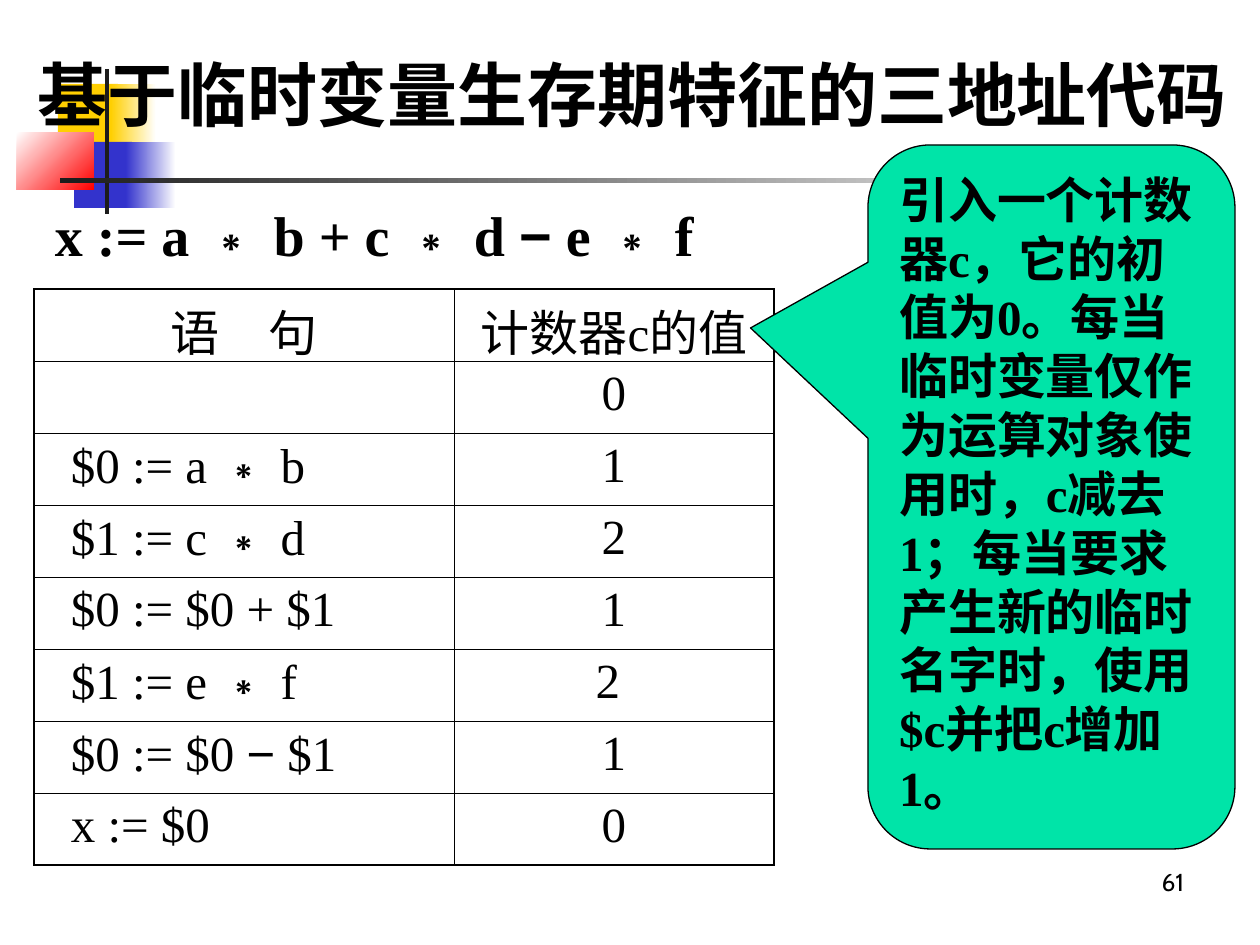
from pptx import Presentation
from pptx.dml.color import RGBColor
from pptx.enum.shapes import MSO_SHAPE
from pptx.enum.text import MSO_ANCHOR, PP_ALIGN
from pptx.oxml.ns import qn
from pptx.util import Emu, Pt
from lxml import etree

RECT = MSO_SHAPE.RECTANGLE
CALLOUT = MSO_SHAPE.ROUNDED_RECTANGULAR_CALLOUT
LEFT, CENTER, RIGHT = PP_ALIGN.LEFT, PP_ALIGN.CENTER, PP_ALIGN.RIGHT
TOP, MIDDLE = MSO_ANCHOR.TOP, MSO_ANCHOR.MIDDLE
SERIF, SYMBOL = "Times New Roman", "Arial"
BLACK, DARK, WHITE = "000000", "1C1C1C", "FFFFFF"
YELLOW, BLUE, RED, GREEN = "FFCF01", "3333CC", "FF0000", "00E4A8"
EMU_PER_PX = 914400 / 126
THIN, THICK = 0.45, 1.08

DECORATION = [
    ((58, 84, 60, 66), [YELLOW], 0),
    ((111, 84, 45, 66), [YELLOW, WHITE], 0),
    ((74, 142, 58, 66), [BLUE], 0),
    ((126, 142, 50, 66), [BLUE, WHITE], 0),
    ((17, 132, 77, 58), [WHITE, RED], 315),
    ((105, 69, 4, 145), [DARK], 0),
    ((60, 178, 1134, 5), [DARK, WHITE], 0),
]
ROWS = [
    ("语　句", "计数器c的值"),
    ("", "0"),
    ("$0 := a ∗ b", "1"),
    ("$1 := c ∗ d", "2"),
    ("$0 := $0 + $1", "1"),
    ("$1 := e ∗ f", "2 "),
    ("$0 := $0 − $1", "1"),
    ("x := $0", "0"),
]
NOTE = ("引入一个计数器c，它的初值为0。每当临时变量仅作为运算对象使用时，"
        "c减去1；每当要求产生新的临时名字时，使用$c并把c增加1。")


def px(n):
    return Emu(round(n * EMU_PER_PX))


def rgb(value):
    return RGBColor.from_string(value)


def split_symbols(text):
    parts = [""]
    for ch in text:
        if ch in "∗−":
            parts += [ch, ""]
        else:
            parts[-1] += ch
    return [part for part in parts if part]


def write(tf, text, size, bold=False, align=LEFT, font=SERIF):
    p = tf.paragraphs[0]
    p.alignment = align
    for part in split_symbols(text):
        r = p.add_run()
        r.text = part
        r.font.name = SYMBOL if part in "∗−" else font
        r.font.size = Pt(size)
        r.font.bold = bold
        r.font.color.rgb = rgb(BLACK)


def set_frame(tf, anchor):
    tf.word_wrap = True
    tf.vertical_anchor = anchor
    tf.margin_left = tf.margin_right = px(13)
    tf.margin_top = tf.margin_bottom = px(6)


def add_text(s, box, text, size, anchor=TOP, **style):
    tf = s.shapes.add_textbox(*map(px, box)).text_frame
    set_frame(tf, anchor)
    write(tf, text, size, **style)


def add_block(s, box, colors, angle):
    sp = s.shapes.add_shape(RECT, *map(px, box))
    sp.shadow.inherit = False
    sp.line.fill.background()
    if len(colors) == 1:
        sp.fill.solid()
        sp.fill.fore_color.rgb = rgb(colors[0])
        return
    sp.fill.gradient()
    sp.fill.gradient_angle = angle
    for stop, color in zip(sp.fill.gradient_stops, colors):
        stop.color.rgb = rgb(color)


def set_borders(cell, widths):
    tc_pr = cell._tc.get_or_add_tcPr()
    for i, (side, width) in enumerate(zip(("lnL", "lnR", "lnT", "lnB"), widths)):
        ln = etree.Element(qn(f"a:{side}"), w=str(Pt(width)))
        fill = etree.SubElement(ln, qn("a:solidFill"))
        etree.SubElement(fill, qn("a:srgbClr"), val=BLACK)
        tc_pr.insert(i, ln)


def add_statement_table(s):
    col_widths, row_height = (420, 320), 72
    last_row, last_col = len(ROWS) - 1, len(col_widths) - 1
    frame = s.shapes.add_table(len(ROWS), len(col_widths), px(34), px(289),
                               px(sum(col_widths)), px(row_height * len(ROWS)))
    table = frame.table
    for col, width in zip(table.columns, col_widths):
        col.width = px(width)
    for i, values in enumerate(ROWS):
        table.rows[i].height = px(row_height)
        for j, text in enumerate(values):
            cell = table.cell(i, j)
            statement = i > 0 and j == 0
            cell.fill.background()
            cell.margin_left = px(37 if statement else 13)
            cell.margin_right = px(13)
            cell.margin_top = cell.margin_bottom = px(6)
            write(cell.text_frame, text, 28, align=LEFT if statement else CENTER)
            outer = (j == 0, j == last_col, i == 0, i == last_row)
            set_borders(cell, [THICK if edge else THIN for edge in outer])


def add_callout(s, box, text):
    sp = s.shapes.add_shape(CALLOUT, *map(px, box))
    sp.shadow.inherit = False
    sp.fill.solid()
    sp.fill.fore_color.rgb = rgb(GREEN)
    sp.line.color.rgb = rgb(BLACK)
    sp.line.width = Pt(0.75)
    for i, value in enumerate((-0.82, -0.24, 0.17)):
        sp.adjustments[i] = value
    set_frame(sp.text_frame, TOP)
    write(sp.text_frame, text, 28, bold=True)


def main():
    prs = Presentation()
    prs.slide_width, prs.slide_height = px(1260), px(945)
    s = prs.slides.add_slide(prs.slide_layouts[6])
    for box, colors, angle in DECORATION:
        add_block(s, box, colors, angle)
    add_text(s, (903, 861, 294, 66), "61", 14, align=RIGHT, font="Cabin")
    add_text(s, (25, 32, 1226, 123), "基于临时变量生存期特征的三地址代码", 40,
             anchor=MIDDLE, bold=True)
    add_text(s, (42, 194, 1187, 662), "x := a ∗ b + c ∗ d − e ∗ f", 32, bold=True)
    add_statement_table(s)
    add_callout(s, (868, 145, 367, 704), NOTE)
    prs.save("out.pptx")


if __name__ == "__main__":
    main()
